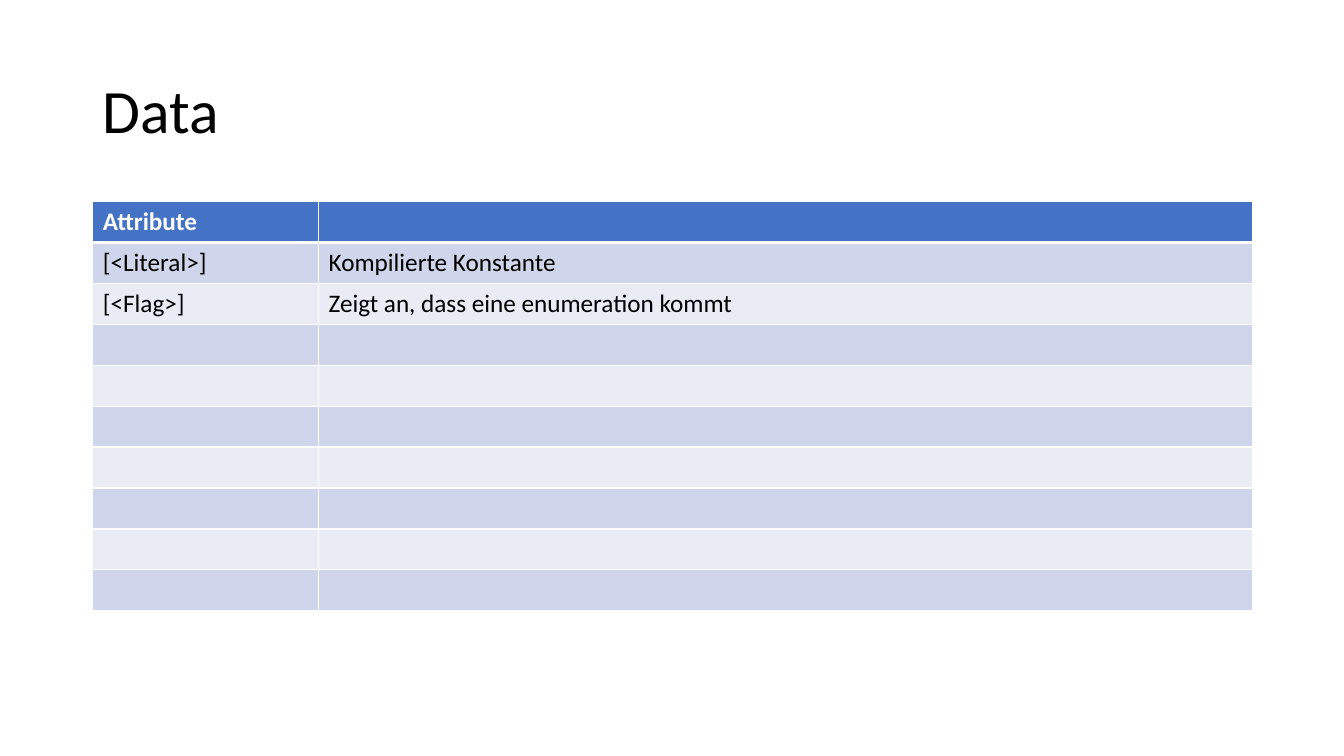
"""Build the "Data" slide with a table of attributes."""
from lxml import etree
from pptx import Presentation
from pptx.dml.color import RGBColor
from pptx.enum.text import MSO_ANCHOR, PP_ALIGN
from pptx.oxml.ns import qn
from pptx.util import Inches, Pt

MIDDLE = MSO_ANCHOR.MIDDLE
LEFT = PP_ALIGN.LEFT
TITLE_ONLY = 5
ROW_COUNT = 10
COLUMN_WIDTHS = [2.24, 9.26]
BAND_COLORS = ["E9EBF5", "CFD5EA"]
HEADER_COLOR = "4472C4"
BORDER_COLOR = "FFFFFF"
ENTRIES = [
    ("Attribute", ""),
    ("[<Literal>]", "Kompilierte Konstante"),
    ("[<Flag>]", "Zeigt an, dass eine enumeration kommt"),
]


def write_text(frame, text, size=18, color="000000", bold=False, spacing=1.0):
    paragraph = frame.paragraphs[0]
    paragraph.alignment = LEFT
    paragraph.line_spacing = spacing
    paragraph.font.size = Pt(size)
    if text:
        run = paragraph.add_run()
        run.text = text
        run.font.name = "Calibri"
        run.font.size = Pt(size)
        run.font.bold = bold
        run.font.color.rgb = RGBColor.from_string(color)


def add_border(cell, position, side, width):
    line = etree.Element(qn(f"a:{side}"), w=str(Pt(width)))
    fill = etree.SubElement(line, qn("a:solidFill"))
    etree.SubElement(fill, qn("a:srgbClr"), val=BORDER_COLOR)
    cell._tc.get_or_add_tcPr().insert(position, line)


presentation = Presentation()
presentation.slide_width = Inches(13.33)
presentation.slide_height = Inches(7.5)
slide = presentation.slides.add_slide(presentation.slide_layouts[TITLE_ONLY])

title = slide.shapes.title
title.left, title.top = Inches(0.92), Inches(0.4)
title.width, title.height = Inches(11.5), Inches(1.45)
title.text_frame.vertical_anchor = MIDDLE
write_text(title.text_frame, "Data", size=44, spacing=0.9)

table = slide.shapes.add_table(
    ROW_COUNT, len(COLUMN_WIDTHS), Inches(0.92), Inches(2), Inches(11.5), Inches(4.06)
).table
for column, width in zip(table.columns, COLUMN_WIDTHS):
    column.width = Inches(width)

for row_index, row in enumerate(table.rows):
    is_header = row_index == 0
    texts = ENTRIES[row_index] if row_index < len(ENTRIES) else ("", "")
    border_widths = {
        "lnL": 1,
        "lnR": 1,
        "lnT": 3 if row_index == 1 else 1,
        "lnB": 3 if is_header else 1,
    }
    for cell, text in zip(row.cells, texts):
        cell.fill.solid()
        fill_color = HEADER_COLOR if is_header else BAND_COLORS[row_index % 2]
        cell.fill.fore_color.rgb = RGBColor.from_string(fill_color)
        text_color = "FFFFFF" if is_header else "000000"
        write_text(cell.text_frame, text, color=text_color, bold=is_header)
        for position, (side, width) in enumerate(border_widths.items()):
            add_border(cell, position, side, width)

presentation.save("out.pptx")
